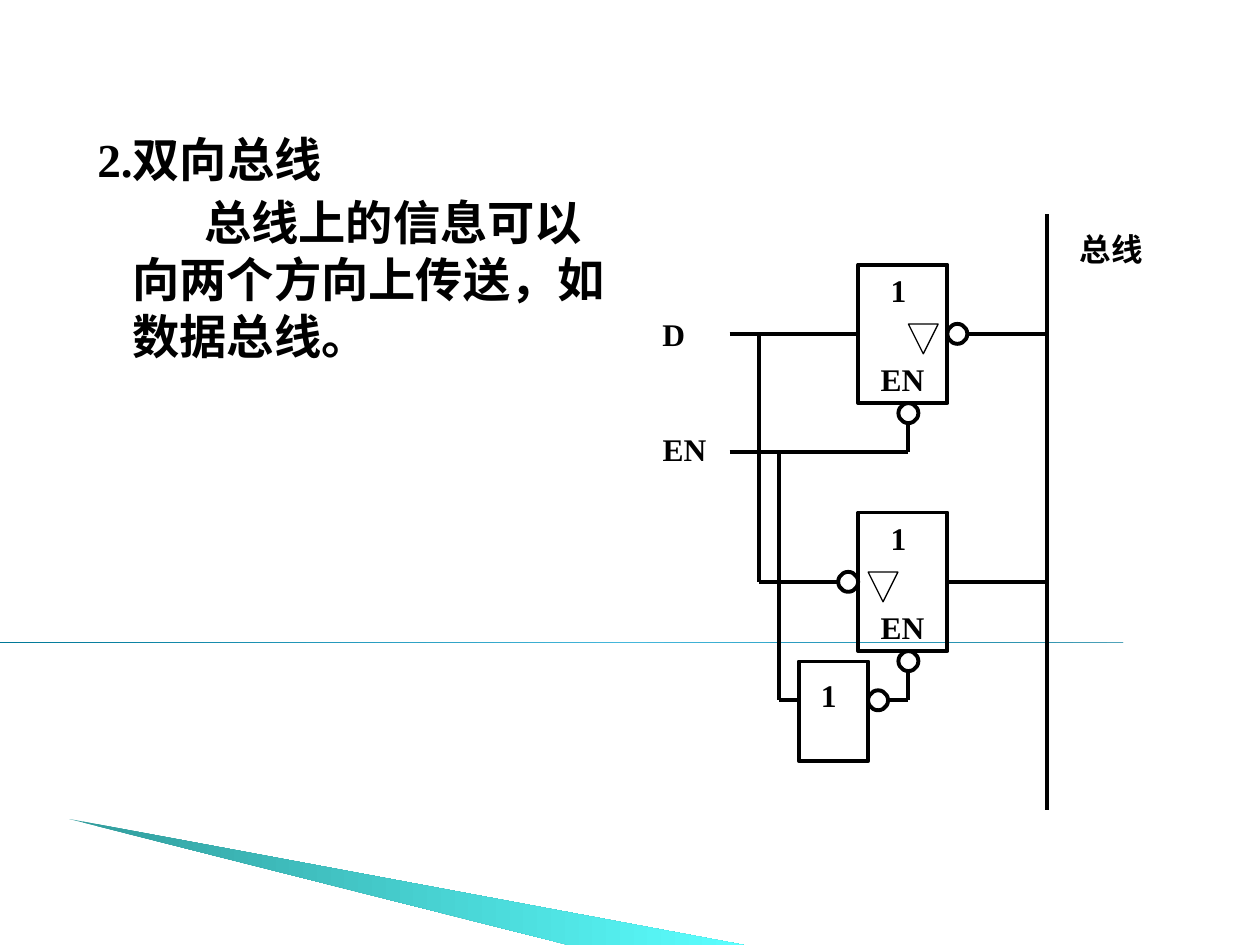
from copy import deepcopy
from pptx import Presentation
from pptx.dml.color import RGBColor as RGB
from pptx.enum.shapes import MSO_CONNECTOR as Link, MSO_SHAPE as Kind
from pptx.enum.text import MSO_ANCHOR as Anchor, MSO_AUTO_SIZE as Auto
from pptx.oxml.ns import qn
from pptx.oxml.xmlchemy import OxmlElement as Node
from pptx.util import Pt

INK = "000000"
FACE = "Times New Roman"
DOT = 11.4               # inverter bubble size
LEFT, WIDE, TALL = 490.4, 51, 79.2   # bus gates
MID = LEFT + 28.7        # enable pin
BUS = 598.4
D_X, EN_X = 433.6, 445   # vertical feeds
D_Y, EN_Y = 190.8, 258.5
STEP = 141.7             # upper gate to lower gate


def paint(color, tint):
    color.rgb = RGB.from_string(tint)


def style(para, size):
    for run in para.runs:
        run.font.name, run.font.size, run.font.bold = FACE, Pt(size), True
        paint(run.font.color, INK)


def blend(shape, tints, angle):
    """Fill with evenly spaced gradient stops and no outline."""
    shape.shadow.inherit = False
    shape.line.fill.background()
    fill = shape.fill
    fill.gradient()
    fill.gradient_angle = angle
    stops = shape._element.spPr.find(qn("a:gradFill")).find(qn("a:gsLst"))
    while len(stops) < len(tints):
        stops.append(deepcopy(stops[-1]))
    for i, (stop, tint) in enumerate(zip(fill.gradient_stops, tints)):
        stop.position = i / (len(tints) - 1)
        paint(stop.color, tint)


def outline(area, kind, x, y, w, h, weight=2.25):
    shape = area.add_shape(kind, Pt(x), Pt(y), Pt(w), Pt(h))
    shape.shadow.inherit = False
    shape.fill.background()
    shape.line.width = Pt(weight)
    paint(shape.line.color, INK)
    return shape


def bubble(area, x, y):
    """Draw an inverter bubble centred on a point."""
    outline(area, Kind.OVAL, x - DOT / 2, y - DOT / 2, DOT, DOT)


def wire(area, x1, y1, x2, y2):
    line = area.add_connector(Link.STRAIGHT, Pt(x1), Pt(y1), Pt(x2), Pt(y2))
    line.line.width = Pt(2.25)
    paint(line.line.color, INK)
    line._element.spPr.append(Node("a:effectLst"))


def label(area, text, x, y, w, h=29, lead=1.0):
    box = area.add_textbox(Pt(x), Pt(y), Pt(w), Pt(h))
    frame = box.text_frame
    frame.word_wrap = True
    frame.text = text
    frame.paragraphs[0].line_spacing = lead
    style(frame.paragraphs[0], 18)


def gate(area, top, mark):
    """Draw a three-state gate with its enable bubble."""
    outline(area, Kind.RECTANGLE, LEFT, top, WIDE, TALL)
    label(area, "1", LEFT + 11.5, top, 28)
    label(area, "EN", LEFT + 5.7, top + 51, 40)
    sign = outline(area, Kind.ISOSCELES_TRIANGLE, mark, top + 34, 17, 17, 0.75)
    sign.rotation = 180
    bubble(area, MID, top + TALL + DOT / 2)


def decor(area):
    rule = area.add_shape(Kind.RIGHT_TRIANGLE, 0, Pt(367), Pt(720), Pt(0.5))
    blend(rule, ["007897", "4ABBE0", "007897"], 0)
    pen = area.build_freeform(Pt(39.5), Pt(468))
    pen.add_line_segments([(Pt(425), Pt(540)), (Pt(325), Pt(540))])
    blend(pen.convert_to_shape(), ["319C9C", "5BFFFF"], 0)


def body(box):
    box.left, box.top, box.width, box.height = Pt(39.6), Pt(70.6), Pt(321), Pt(212)
    frame = box.text_frame
    frame.auto_size, frame.vertical_anchor = Auto.NONE, Anchor.TOP
    frame.text = "2.双向总线\n总线上的信息可以向两个方向上传送，如数据总线。"
    for para, indent, gap in zip(frame.paragraphs, (-20, 41), (0, 4)):
        props = para._p.get_or_add_pPr()
        props.set("marL", str(Pt(28.8)))
        props.set("indent", str(Pt(indent)))
        props.append(Node("a:buNone"))
        para.space_before = Pt(gap)
        style(para, 27)


def circuit(area):
    top = 151.2
    low = D_Y + STEP
    base = EN_Y + STEP
    right = LEFT + WIDE
    # Gates and inverter
    gate(area, top, LEFT + 28.7)
    gate(area, top + STEP, LEFT + 5.7)
    outline(area, Kind.RECTANGLE, 456.5, 378, 39.6, 56.9)
    label(area, "1", 462, 383, 28)
    for x, y in [(right + DOT / 2, D_Y), (LEFT - DOT / 2, low), (501.8, base)]:
        bubble(area, x, y)
    # Wires
    pin = top + TALL + DOT
    for ends in [
        (BUS, 122.4, BUS, 463),
        (417, D_Y, LEFT, D_Y), (right + DOT, D_Y, BUS, D_Y),
        (D_X, D_Y, D_X, low), (D_X, low, LEFT - DOT, low),
        (right, low, BUS, low),
        (417, EN_Y, MID, EN_Y), (MID, pin, MID, EN_Y),
        (EN_X, EN_Y, EN_X, base), (EN_X, base, 456.5, base),
        (507.5, base, MID, base), (MID, pin + STEP, MID, base),
    ]:
        wire(area, *ends)
    # Signal names
    label(area, "D", 371.5, 173.5, 30, 32, 1.15)
    label(area, "EN", 371.5, 242, 62, 32)
    label(area, "总线", 610, 128, 73)


def main():
    deck = Presentation()
    deck.slide_width, deck.slide_height = Pt(720), Pt(540)
    slide = deck.slides.add_slide(deck.slide_layouts[1])
    title = slide.shapes.title._element
    title.getparent().remove(title)
    decor(slide.shapes)
    body(slide.placeholders[1])
    circuit(slide.shapes.add_group_shape().shapes)
    deck.save("out.pptx")


if __name__ == "__main__":
    main()
